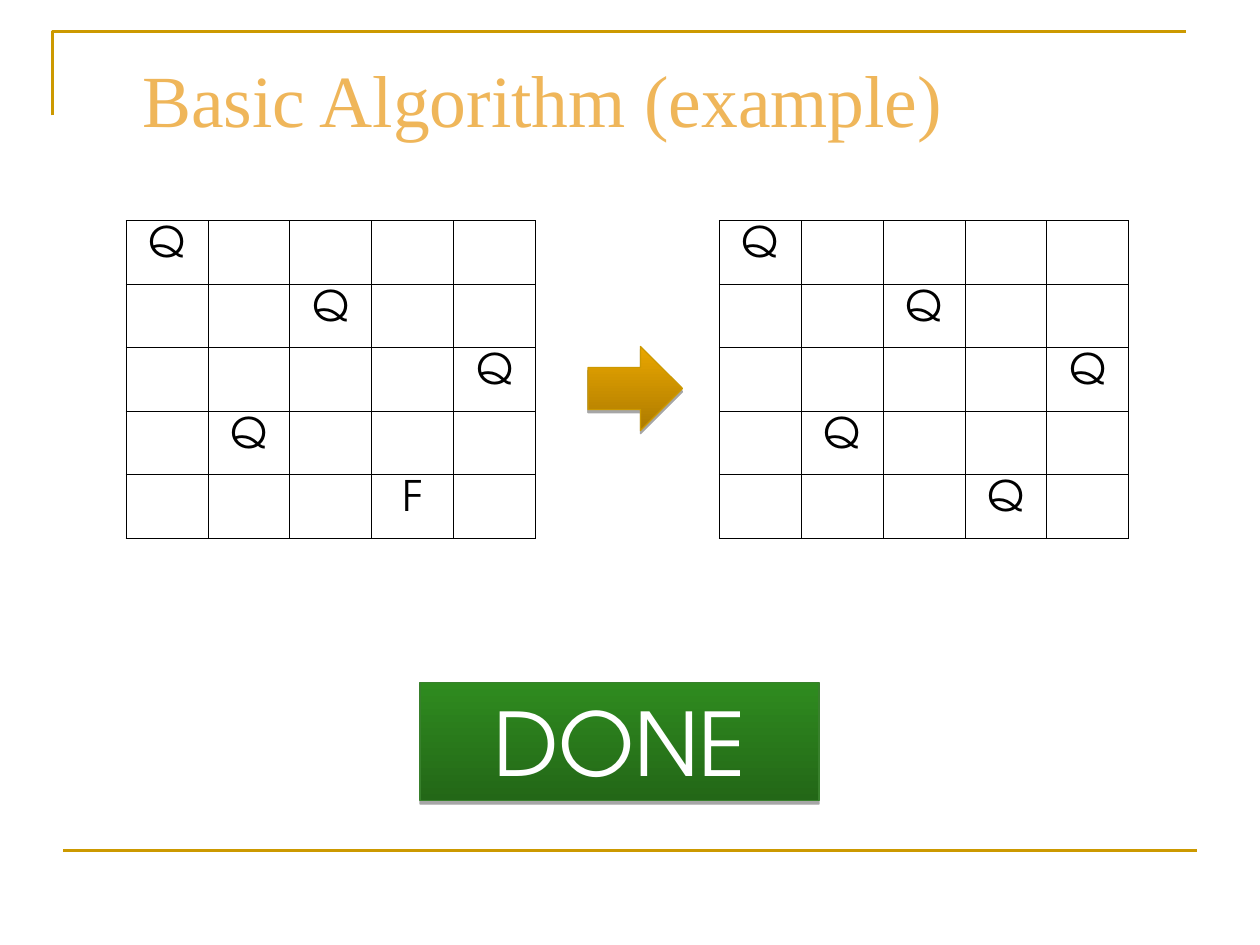
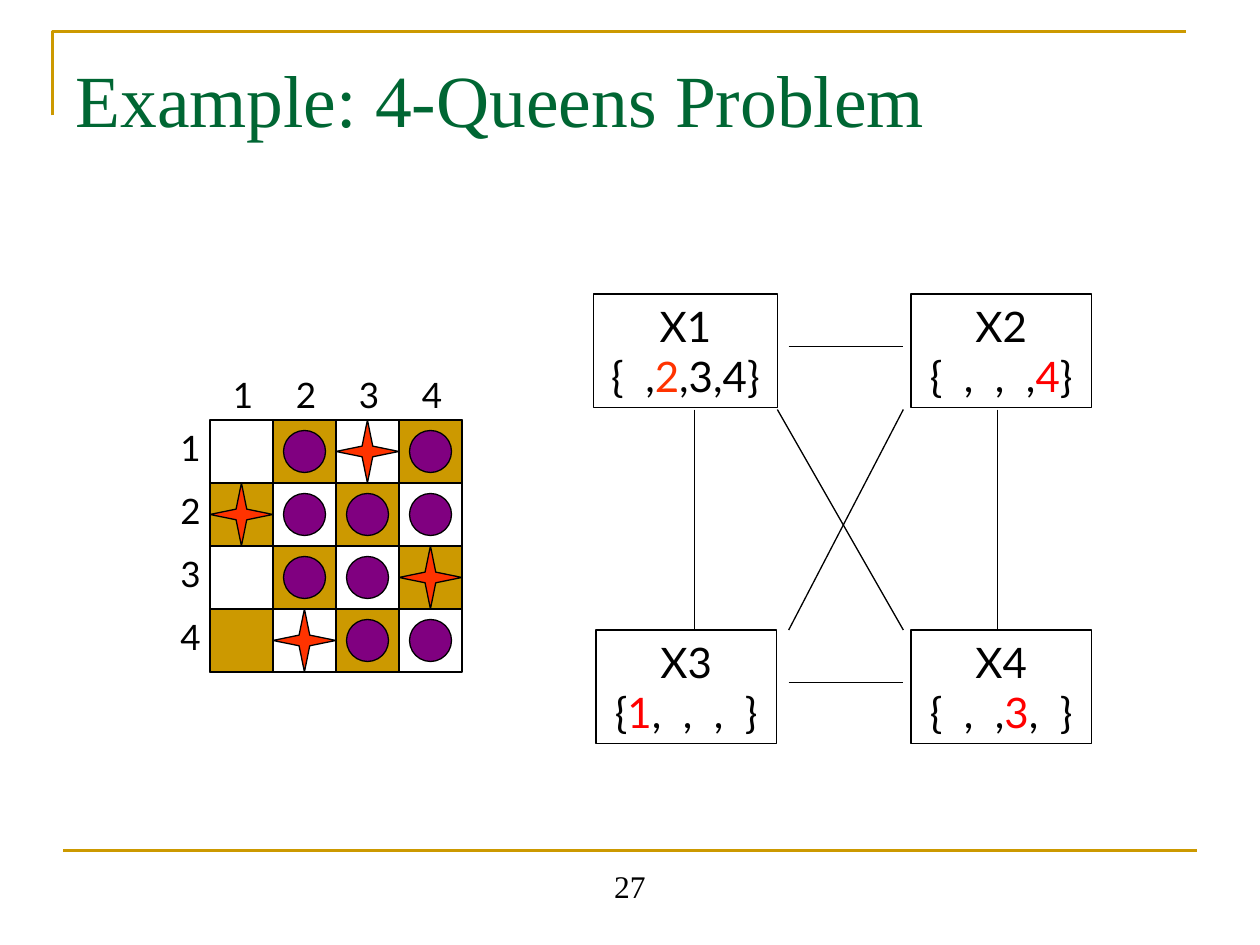
from lxml.etree import SubElement
from pptx import Presentation
from pptx.dml.color import RGBColor
from pptx.enum.shapes import MSO_CONNECTOR, MSO_SHAPE
from pptx.enum.text import MSO_ANCHOR, MSO_AUTO_SIZE, PP_ALIGN
from pptx.oxml.ns import qn
from pptx.util import Pt

COLORS = {
    "gold": "CC9900",
    "amber": "EFB65A",
    "green": "006633",
    "black": "000000",
    "white": "FFFFFF",
    "orange": "FF3300",
    "red": "FF0000",
    "purple": "800080",
    "done_dark": "236717",
    "done_light": "2F8B1F",
    "done_edge": "38802C",
    "arrow_dark": "AD7B00",
    "arrow_light": "E9A600",
    "arrow_edge": "CC9800",
}
SERIF = "Times New Roman"
GEOMETRIC = "TeX Gyre Adventor"
SANS = "Lato"
TOP_FRAME = {"word_wrap": True, "auto_size": MSO_AUTO_SIZE.NONE, "vertical_anchor": MSO_ANCHOR.TOP}
MIDDLE_FRAME = {**TOP_FRAME, "vertical_anchor": MSO_ANCHOR.MIDDLE}
UNWRAPPED_FRAME = {**TOP_FRAME, "word_wrap": False}
TITLE_FRAME = {**TOP_FRAME, "margin_left": Pt(7.2), "margin_top": Pt(9.4)}


def style_shape(shape, fill=None, edge="black", weight=0.75):
    if hasattr(shape, "fill"):
        if fill:
            shape.fill.solid()
            shape.fill.fore_color.rgb = RGBColor.from_string(COLORS[fill])
        else:
            shape.fill.background()
    shape.line.color.rgb = RGBColor.from_string(COLORS[edge])
    shape.line.width = Pt(weight)
    return SubElement(shape._element.spPr, qn("a:effectLst"))


def write_text(text_frame, lines, font, size, alignment=PP_ALIGN.CENTER, frame_format=TOP_FRAME):
    for name, value in frame_format.items():
        setattr(text_frame, name, value)
    for index, line in enumerate(lines):
        paragraph = text_frame.add_paragraph() if index else text_frame.paragraphs[0]
        paragraph.alignment = alignment
        for text, color in line:
            run = paragraph.add_run()
            run.text = text
            for name, value in {"name": font, "size": Pt(size), "bold": False}.items():
                setattr(run.font, name, value)
            run.font.color.rgb = RGBColor.from_string(COLORS[color])


presentation = Presentation()
presentation.slide_width, presentation.slide_height = Pt(720), Pt(540)

slides = []
for title_text, color, indent in [
    ("Basic Algorithm (example)", "amber", 38.2),
    ("Example: 4-Queens Problem", "green", 0),
]:
    slide = presentation.slides.add_slide(presentation.slide_layouts[5])
    slides.append(slide)
    builder = slide.shapes.build_freeform(Pt(30), Pt(66), scale=1.0)
    builder.add_line_segments([(Pt(30), Pt(18)), (Pt(678), Pt(18))], close=False)
    style_shape(builder.convert_to_shape(), edge="gold", weight=1.5)
    bottom_rule = slide.shapes.add_connector(MSO_CONNECTOR.STRAIGHT, Pt(36), Pt(486), Pt(684), Pt(486))
    style_shape(bottom_rule, edge="gold", weight=1.5)
    title = slide.shapes.title
    for name, value in {"left": 36, "top": 21.6, "width": 648, "height": 90}.items():
        setattr(title, name, Pt(value))
    write_text(title.text_frame, [[(title_text, color)]], SERIF, 42, PP_ALIGN.LEFT, TITLE_FRAME)
    title.text_frame.paragraphs[0]._p.get_or_add_pPr().set("marL", str(Pt(indent)))

example_slide, queens_slide = slides

# fmt: off
for left, last_mark in [(72, "F"), (411, "Q")]:
    marks = {(0, 0): "Q", (1, 2): "Q", (2, 4): "Q", (3, 1): "Q", (4, 3): last_mark}
    table = example_slide.shapes.add_table(5, 5, Pt(left), Pt(126), Pt(234), Pt(181.5)).table
    table.first_row = table.horz_banding = False
    for column in table.columns:
        column.width = Pt(46.8)
    for row_index, row in enumerate(table.rows):
        row.height = Pt(36.3)
        for column_index, cell in enumerate(row.cells):
            properties = cell._tc.get_or_add_tcPr()
            for side in ("a:lnL", "a:lnR", "a:lnT", "a:lnB"):
                border = SubElement(properties, qn(side), w=str(Pt(0.45)))
                border_fill = SubElement(border, qn("a:solidFill"))
                SubElement(border_fill, qn("a:srgbClr"), val=COLORS["black"])
            cell.fill.background()
            mark = marks.get((row_index, column_index))
            if mark:
                write_text(cell.text_frame, [[(mark, "black")]], GEOMETRIC, 24, frame_format={})

done_box = example_slide.shapes.add_shape(MSO_SHAPE.RECTANGLE, Pt(240), Pt(390), Pt(228), Pt(67.7))
arrow = example_slide.shapes.add_shape(MSO_SHAPE.RIGHT_ARROW, Pt(336), Pt(198), Pt(54), Pt(48))
for shape, theme in [(done_box, "done"), (arrow, "arrow")]:
    effects = style_shape(shape, edge=f"{theme}_edge")
    shadow = SubElement(effects, qn("a:outerShdw"), dist=str(Pt(1.8)), dir="5400000", rotWithShape="0")
    shadow_color = SubElement(shadow, qn("a:srgbClr"), val=COLORS["black"])
    SubElement(shadow_color, qn("a:alpha"), val="35000")
    shape.fill.gradient()
    shape.fill.gradient_angle = 90
    for stop, shade in zip(shape.fill.gradient_stops, ("dark", "light")):
        stop.color.rgb = RGBColor.from_string(COLORS[f"{theme}_{shade}"])
write_text(done_box.text_frame, [[("DONE", "white")]], GEOMETRIC, 50, frame_format=MIDDLE_FRAME)

page_number = queens_slide.shapes.add_textbox(Pt(246), Pt(492), Pt(228), Pt(36))
write_text(page_number.text_frame, [[("27", "black")]], SERIF, 18)

board_left, board_top, square = 120, 240, 36
board_rows = [".o*o", "*ooo", ".oo*", ".*oo"]
board = queens_slide.shapes.add_shape(
    MSO_SHAPE.RECTANGLE, Pt(board_left), Pt(board_top), Pt(4 * square), Pt(4 * square))
style_shape(board)
for row_index, board_row in enumerate(board_rows):
    offset = row_index * square
    for left, top in [(board_left - 24, board_top + offset), (board_left + 6 + offset, board_top - 30)]:
        label = queens_slide.shapes.add_textbox(Pt(left), Pt(top), Pt(26), Pt(31.5))
        write_text(label.text_frame, [[(str(row_index + 1), "black")]], SANS, 20,
                   PP_ALIGN.LEFT, UNWRAPPED_FRAME)
    for column_index, piece in enumerate(board_row):
        left, top = board_left + column_index * square, board_top + offset
        if (row_index + column_index) % 2:
            dark_square = queens_slide.shapes.add_shape(
                MSO_SHAPE.RECTANGLE, Pt(left), Pt(top), Pt(square), Pt(square))
            style_shape(dark_square, "gold")
        if piece == "o":
            attacked = queens_slide.shapes.add_shape(
                MSO_SHAPE.OVAL, Pt(left + 6), Pt(top + 6), Pt(24), Pt(24))
            style_shape(attacked, "purple")
        elif piece == "*":
            queen = queens_slide.shapes.add_shape(
                MSO_SHAPE.STAR_4_POINT, Pt(left), Pt(top), Pt(square), Pt(square))
            queen.adjustments[0] = 0.12
            style_shape(queen, "orange")

for variable, left, top, width, before, value, after, color in [
    ("X1", 339.1, 168, 105.1, "{  ,", "2", ",3,4}", "orange"),
    ("X2", 520.6, 168, 103, "{  ,  ,  ,", "4", "}", "red"),
    ("X3", 340.6, 360, 103, "{", "1", ",  ,  ,  }", "red"),
    ("X4", 520.6, 360, 103, "{  ,  ,", "3", ",  }", "red"),
]:
    domain_box = queens_slide.shapes.add_shape(MSO_SHAPE.RECTANGLE, Pt(left), Pt(top), Pt(width), Pt(64.8))
    style_shape(domain_box)
    domain = [(before, "black"), (value, color), (after, "black")]
    write_text(domain_box.text_frame, [[(variable, "black")], domain], SANS, 24,
               frame_format=UNWRAPPED_FRAME)

for constraint in [
    (450.7, 198, 516.2, 198),
    (450.7, 390, 516.2, 390),
    (396.7, 234, 396.7, 360),
    (570.2, 234, 570.2, 360),
    (444.2, 234, 516.2, 360),
    (516.2, 234, 450.7, 360),
]:
    connector = queens_slide.shapes.add_connector(MSO_CONNECTOR.STRAIGHT, *map(Pt, constraint))
    style_shape(connector)

presentation.save("out.pptx")
